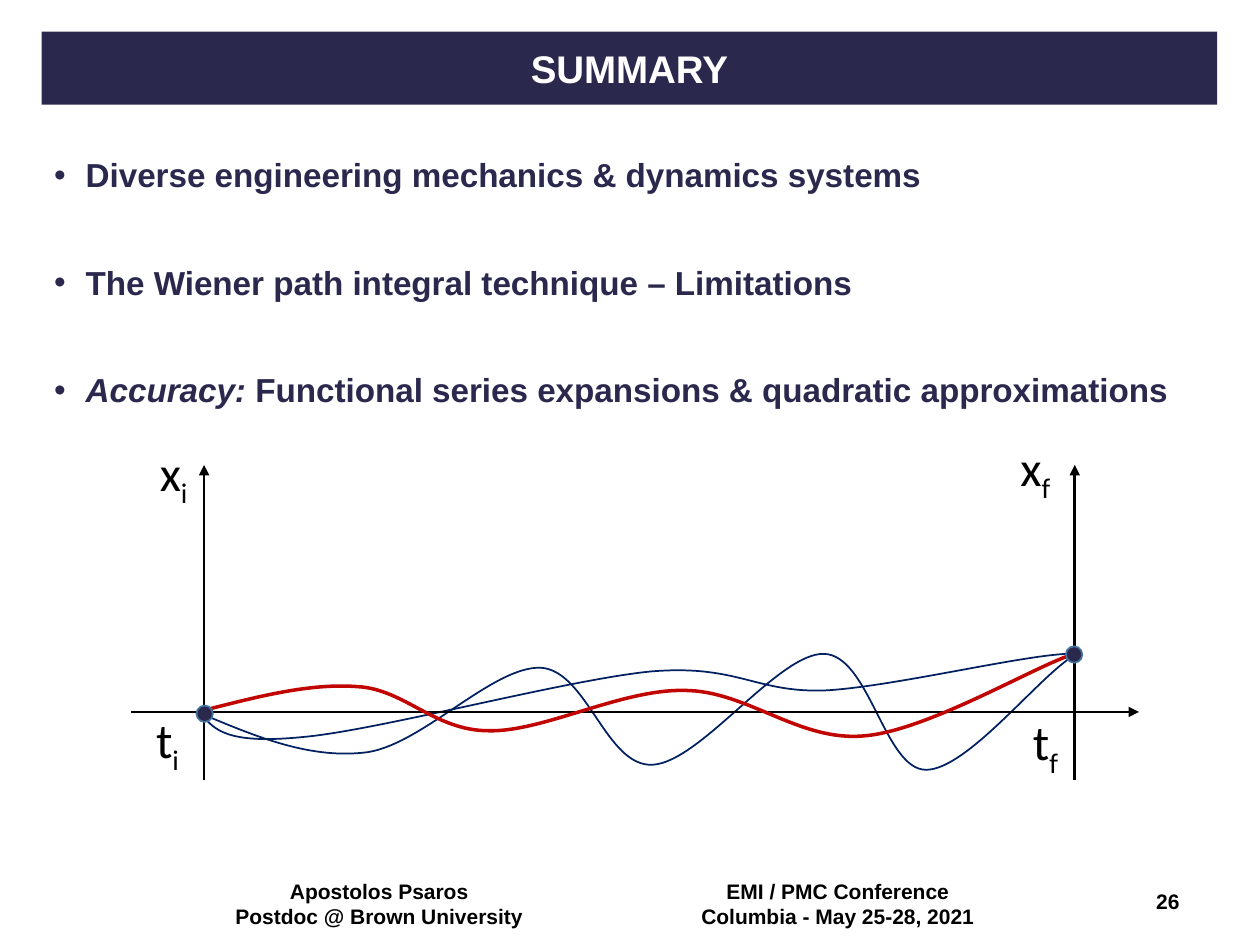
from pptx import Presentation
from pptx.dml.color import RGBColor
from pptx.enum.shapes import MSO_CONNECTOR, MSO_SHAPE
from pptx.enum.text import MSO_ANCHOR, MSO_AUTO_SIZE, PP_ALIGN
from pptx.oxml.ns import qn
from pptx.oxml.xmlchemy import OxmlElement
from pptx.util import Inches, Pt

NAVY = RGBColor(0x2B, 0x28, 0x4D)
BLUE = RGBColor(0x00, 0x20, 0x60)
RED = RGBColor(0xC1, 0x05, 0x00)
DOT_OUTLINE = RGBColor(0x43, 0x73, 0x9E)
WHITE = RGBColor(0xFF, 0xFF, 0xFF)
BLACK = RGBColor(0x00, 0x00, 0x00)

CENTER, LEFT, RIGHT = PP_ALIGN.CENTER, PP_ALIGN.LEFT, PP_ALIGN.RIGHT
TOP, MIDDLE = MSO_ANCHOR.TOP, MSO_ANCHOR.MIDDLE

# Each bullet is a list of (text, italic) runs.
BULLETS = [
    [("Diverse engineering mechanics & dynamics systems", False)],
    [("The Wiener path integral technique – Limitations", False)],
    [("Accuracy:", True),
     (" Functional series expansions & quadratic approximations", False)],
]

# Start point, then two control points and an end point for each segment.
FLAT_PATH = [
    (1.6, 5.67), (1.7, 5.79), (1.8, 5.91), (2.4, 5.85),
    (2.99, 5.8), (4.47, 5.4), (5.16, 5.33),
    (5.86, 5.27), (5.99, 5.5), (6.55, 5.48),
    (7.11, 5.45), (8.23, 5.17), (8.54, 5.19),
]
WAVY_PATH = [
    (1.61, 5.67), (2.04, 5.85), (2.47, 6.03), (2.92, 5.97),
    (3.36, 5.9), (3.91, 5.29), (4.29, 5.3),
    (4.66, 5.32), (4.81, 6.09), (5.18, 6.07),
    (5.56, 6.05), (6.18, 5.18), (6.54, 5.19),
    (6.9, 5.2), (7.02, 6.11), (7.35, 6.11),
    (7.68, 6.11), (8.26, 5.35), (8.53, 5.2),
]
MOST_PROBABLE_PATH = [
    (1.61, 5.64), (2.04, 5.53), (2.46, 5.42), (2.84, 5.45),
    (3.21, 5.47), (3.45, 5.8), (3.88, 5.8),
    (4.31, 5.81), (4.93, 5.47), (5.43, 5.48),
    (5.93, 5.48), (6.34, 5.89), (6.86, 5.84),
    (7.37, 5.8), (8.26, 5.26), (8.53, 5.19),
]


def place(shape, left, top, width, height):
    shape.left, shape.top = Inches(left), Inches(top)
    shape.width, shape.height = Inches(width), Inches(height)


def format_font(font, size, color, name="Arial", bold=True):
    font.name, font.size, font.bold = name, Pt(size), bold
    font.color.rgb = color


def fill_title(title, text):
    place(title, 0.33, 0.25, 9.33, 0.58)
    title.fill.solid()
    title.fill.fore_color.rgb = NAVY
    frame = title.text_frame
    frame.text = text
    frame.auto_size = MSO_AUTO_SIZE.NONE
    frame.vertical_anchor = MIDDLE
    frame.paragraphs[0].alignment = CENTER
    format_font(frame.paragraphs[0].runs[0].font, 22, WHITE)


def set_bullet(paragraph):
    properties = paragraph._p.get_or_add_pPr()
    properties.set("marL", str(Inches(0.25)))
    properties.set("indent", str(Inches(-0.25)))
    bullet_font = OxmlElement("a:buFont")
    bullet_font.set("typeface", "Arial")
    bullet = OxmlElement("a:buChar")
    bullet.set("char", "•")
    properties.extend([bullet_font, bullet])


def fill_body(body, bullets):
    place(body, 0.33, 1.21, 9.33, 5.29)
    frame = body.text_frame
    frame.auto_size = MSO_AUTO_SIZE.NONE
    frame.vertical_anchor = TOP
    for index, runs in enumerate(bullets):
        paragraph = frame.add_paragraph() if index else frame.paragraphs[0]
        set_bullet(paragraph)
        paragraph.line_spacing = 0.9
        paragraph.space_before = Pt(41 if index else 0)
        for text, italic in runs:
            run = paragraph.add_run()
            run.text = text
            format_font(run.font, 19, NAVY)
            run.font.italic = italic


def add_text(slide, box, text, alignment=CENTER, anchor=TOP):
    text_box = slide.shapes.add_textbox(*map(Inches, box))
    frame = text_box.text_frame
    frame.word_wrap = True
    frame.vertical_anchor = anchor
    frame.text = text
    for paragraph in frame.paragraphs:
        paragraph.alignment = alignment
        format_font(paragraph.runs[0].font, 12, BLACK)


def add_symbol(slide, left, top, width, letter, subscript):
    """Add an axis label: a letter with a subscript."""
    text_box = slide.shapes.add_textbox(
        Inches(left), Inches(top), Inches(width), Inches(0.57))
    text_box.text_frame.word_wrap = True
    paragraph = text_box.text_frame.paragraphs[0]
    for text in (letter, subscript):
        run = paragraph.add_run()
        run.text = text
        format_font(run.font, 28, BLACK, "Calibri", False)
    run.font._element.set("baseline", "-25000")


def add_axis(slide, start, end):
    axis = slide.shapes.add_connector(
        MSO_CONNECTOR.STRAIGHT, *map(Inches, (*start, *end)))
    axis.line.color.rgb = BLACK
    axis.line.width = Pt(1.5)
    arrowhead = OxmlElement("a:tailEnd")
    arrowhead.set("type", "triangle")
    axis.line._get_or_add_ln().append(arrowhead)
    axis._element.spPr.append(OxmlElement("a:effectLst"))


def add_curve(slide, points, color, width):
    """Draw Bezier segments: each three points after the first form one."""
    start, *rest = [(Inches(x), Inches(y)) for x, y in points]
    builder = slide.shapes.build_freeform(*start)
    builder.add_line_segments(rest, close=False)
    curve = builder.convert_to_shape()
    segments = list(curve._element.iter(qn("a:lnTo")))
    for index in range(0, len(segments), 3):
        bezier = OxmlElement("a:cubicBezTo")
        segments[index].addprevious(bezier)
        for segment in segments[index:index + 3]:
            bezier.append(segment[0])
            segment.getparent().remove(segment)
    curve.fill.background()
    curve.line.color.rgb = color
    curve.line.width = Pt(width)
    curve.shadow.inherit = False


def add_dot(slide, left, top):
    dot = slide.shapes.add_shape(
        MSO_SHAPE.OVAL, *map(Inches, (left, top, 0.13, 0.13)))
    dot.fill.solid()
    dot.fill.fore_color.rgb = NAVY
    dot.line.color.rgb = DOT_OUTLINE
    dot.line.width = Pt(1)
    dot.shadow.inherit = False


def main():
    presentation = Presentation()
    presentation.slide_width = Inches(10)
    presentation.slide_height = Inches(7.5)
    slide = presentation.slides.add_slide(presentation.slide_layouts[1])

    fill_title(slide.shapes.title, "SUMMARY")
    fill_body(slide.placeholders[1], BULLETS)

    add_curve(slide, FLAT_PATH, BLUE, 1)
    add_curve(slide, WAVY_PATH, BLUE, 1)
    for x in (1.62, 8.53):
        add_axis(slide, (x, 6.19), (x, 3.69))
    add_axis(slide, (1.04, 5.65), (9.04, 5.65))
    add_symbol(slide, 1.14, 5.58, 0.44, "t", "i")
    add_symbol(slide, 1.17, 3.46, 0.44, "x", "i")
    add_symbol(slide, 8.1, 5.6, 0.44, "t", "f")
    add_symbol(slide, 8, 3.42, 0.64, "x", "f")
    add_curve(slide, MOST_PROBABLE_PATH, RED, 2)
    add_dot(slide, 1.56, 5.6)
    add_dot(slide, 8.46, 5.13)

    add_text(slide, (1.75, 6.92, 2.52, 0.5),
             "Apostolos Psaros\nPostdoc @ Brown University")
    add_text(slide, (5.42, 6.92, 2.46, 0.5),
             "EMI / PMC Conference\nColumbia - May 25-28, 2021")
    add_text(slide, (7.21, 6.95, 2.25, 0.4), "26", RIGHT, MIDDLE)
    presentation.save("out.pptx")


if __name__ == "__main__":
    main()
